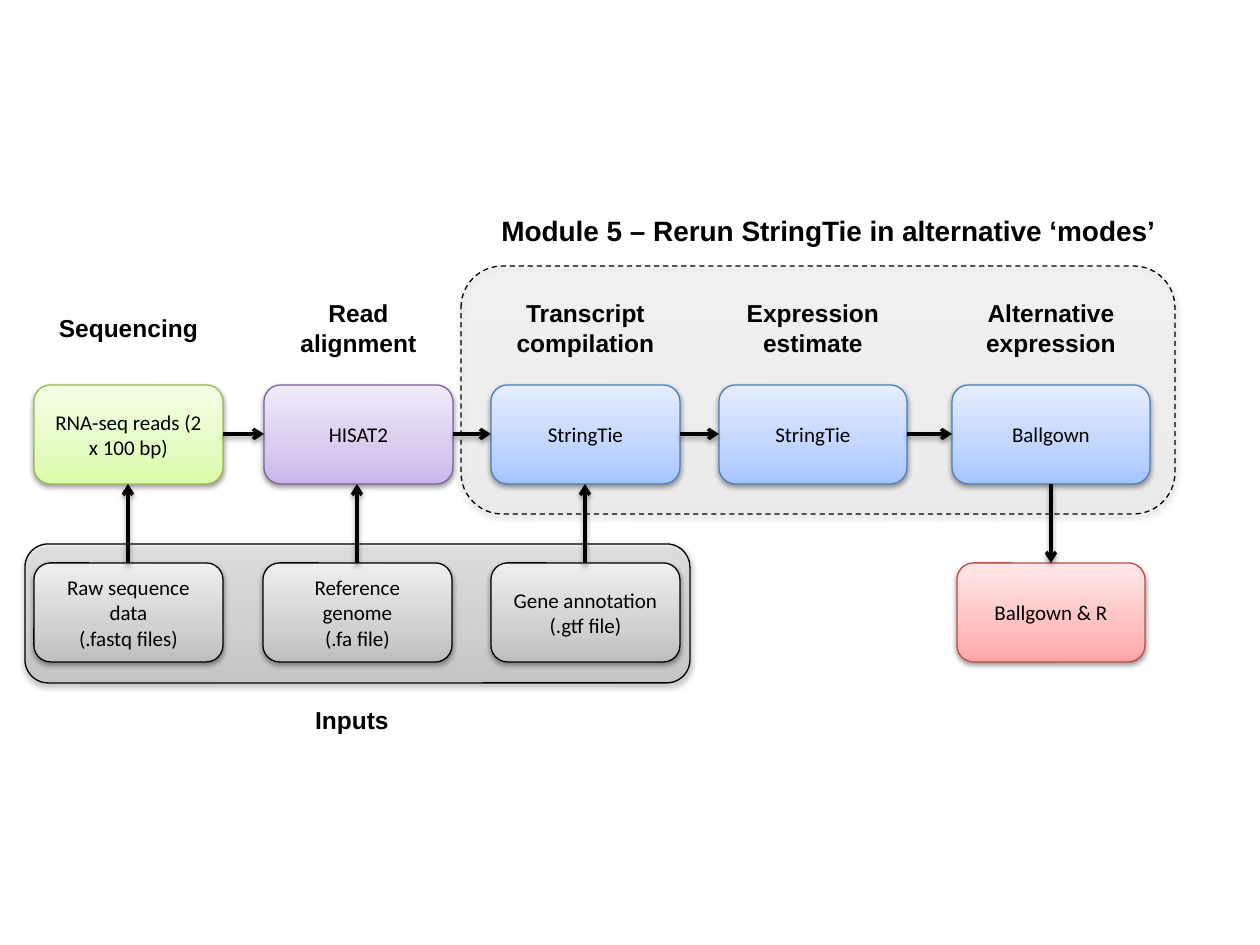
from lxml.etree import SubElement
from pptx import Presentation
from pptx.dml.color import RGBColor
from pptx.enum.dml import MSO_LINE
from pptx.enum.shapes import MSO_CONNECTOR, MSO_SHAPE
from pptx.enum.text import MSO_ANCHOR, PP_ALIGN
from pptx.oxml.ns import qn
from pptx.util import Emu, Pt

PX = 914400 / 126
BLACK = RGBColor(0x00, 0x00, 0x00)
GREEN_EDGE = RGBColor(0x98, 0xB9, 0x55)
PURPLE_EDGE = RGBColor(0x7D, 0x60, 0xA0)
BLUE_EDGE = RGBColor(0x4B, 0x7E, 0xBC)
RED_EDGE = RGBColor(0xBF, 0x4C, 0x48)


def shades(*codes):
    return [RGBColor.from_string(code) for code in codes]


GRAY = shades("BDBDBD", "D1D1D1", "EEEEEE")
GREEN = shades("DAFDA7", "E4FCC2", "F5FFE7")
PURPLE = shades("C9B5E8", "D8CBEE", "F0EAF9")
BLUE = shades("A4C4FF", "BFD4FF", "E6EEFF")
RED = shades("FFA6A5", "FFC0BF", "FFE7E7")

STEP_TOP, INPUT_TOP, BOX_HEIGHT = 385, 563, 99
STEPS = [
    (34, 189, "RNA-seq reads (2 x 100 bp)", GREEN, GREEN_EDGE, "Sequencing", 165),
    (264, 189, "HISAT2", PURPLE, PURPLE_EDGE, "Read alignment", 171),
    (491, 189, "StringTie", BLUE, BLUE_EDGE, "Transcript compilation", 228),
    (719, 188, "StringTie", BLUE, BLUE_EDGE, "Expression estimate", 228),
    (952, 198, "Ballgown", BLUE, BLUE_EDGE, "Alternative expression", 228),
]
INPUTS = [
    (9, ["Raw sequence data", "(.fastq files)"]),
    (238, ["Reference genome", "(.fa file)"]),
    (466, ["Gene annotation", "(.gtf file)"]),
]


def px(*lengths):
    return [Emu(round(length * PX)) for length in lengths]


def add_shadow(properties):
    effects = properties.find(qn("a:effectLst"))
    if effects is None:
        effects = SubElement(properties, qn("a:effectLst"))
    shadow = SubElement(effects, qn("a:outerShdw"), blurRad="40000", dist="20000",
                        dir="5400000", rotWithShape="0")
    color = SubElement(shadow, qn("a:srgbClr"), val=str(BLACK))
    SubElement(color, qn("a:alpha"), val="38000")


def add_gradient(properties, colors, opacity):
    gradient = SubElement(properties, qn("a:gradFill"), rotWithShape="1")
    stops = SubElement(gradient, qn("a:gsLst"))
    for position, color in zip((0, 35, 100), colors):
        stop = SubElement(stops, qn("a:gs"), pos=str(position * 1000))
        value = SubElement(stop, qn("a:srgbClr"), val=str(color))
        if opacity < 100:
            SubElement(value, qn("a:alpha"), val=str(opacity * 1000))
    SubElement(gradient, qn("a:lin"), ang="16200000", scaled="0")
    properties.find(qn("a:ln")).addprevious(gradient)


def write(frame, lines, size, font_name, bold=False):
    frame.text = "\n".join(lines)
    for para in frame.paragraphs:
        para.alignment = PP_ALIGN.CENTER
        para.font.size = Pt(size)
        para.font.name = font_name
        para.font.bold = bold
        para.font.color.rgb = BLACK


def add_box(page, left, top, width, height, colors, edge, lines=(), opacity=100):
    box = page.shapes.add_shape(MSO_SHAPE.ROUNDED_RECTANGLE, *px(left, top, width, height))
    box.line.color.rgb = edge
    box.line.width = Pt(0.75)
    add_gradient(box._element.spPr, colors, opacity)
    box.shadow.inherit = False
    add_shadow(box._element.spPr)
    if lines:
        box.text_frame.word_wrap = True
        box.text_frame.vertical_anchor = MSO_ANCHOR.MIDDLE
        write(box.text_frame, lines, 12, "Calibri")
    return box


def add_label(page, left, top, width, height, text, size=14, wrap=False):
    label = page.shapes.add_textbox(*px(left, top, width, height))
    label.text_frame.word_wrap = wrap
    write(label.text_frame, [text], size, "Arial", bold=True)


def add_arrow(page, *ends):
    arrow = page.shapes.add_connector(MSO_CONNECTOR.STRAIGHT, *px(*ends))
    arrow.line.color.rgb = BLACK
    arrow.line.width = Pt(2)
    SubElement(arrow.line._get_or_add_ln(), qn("a:tailEnd"), type="arrow")
    add_shadow(arrow._element.spPr)


def add_module(page, left, top, width, height):
    panel = add_box(page, left, top, width, height, GRAY, BLACK, opacity=13)
    panel.line.dash_style = MSO_LINE.DASH
    add_label(page, left + 24, top - 59, 687, 47,
              "Module 5 – Rerun StringTie in alternative ‘modes’", size=16)


def add_steps(page, top):
    middle = top + BOX_HEIGHT // 2
    previous_right = None
    for left, width, text, colors, edge, heading, heading_width in STEPS:
        add_box(page, left, top, width, BOX_HEIGHT, colors, edge, [text])
        wrap = " " in heading
        heading_top, heading_height = (top - 93, 72) if wrap else (top - 78, 43)
        add_label(page, left + (width - heading_width) / 2, heading_top,
                  heading_width, heading_height, heading, wrap=wrap)
        if previous_right is not None:
            add_arrow(page, previous_right, middle, left, middle)
        previous_right = left + width


def add_inputs(page, left, top, width, height):
    add_box(page, left, top, width, height, GRAY, BLACK, opacity=51)
    for offset, lines in INPUTS:
        add_box(page, left + offset, INPUT_TOP, 189, BOX_HEIGHT, GRAY, BLACK, lines)
        center = left + offset + 189 // 2
        add_arrow(page, center, INPUT_TOP, center, STEP_TOP + BOX_HEIGHT)
    add_label(page, left + 277, top + height + 16, 100, 43, "Inputs")


def add_result(page, left, top, width):
    add_box(page, left, top, width, BOX_HEIGHT, RED, RED_EDGE, ["Ballgown & R"])
    center = left + width // 2
    add_arrow(page, center, STEP_TOP + BOX_HEIGHT, center, top)


def main():
    deck = Presentation()
    deck.slide_width, deck.slide_height = px(1260, 945)
    page = deck.slides.add_slide(deck.slide_layouts[6])
    add_module(page, 461, 266, 714, 248)
    add_steps(page, STEP_TOP)
    add_inputs(page, 25, 544, 665, 139)
    add_result(page, 957, INPUT_TOP, 188)
    deck.save("out.pptx")


if __name__ == "__main__":
    main()
